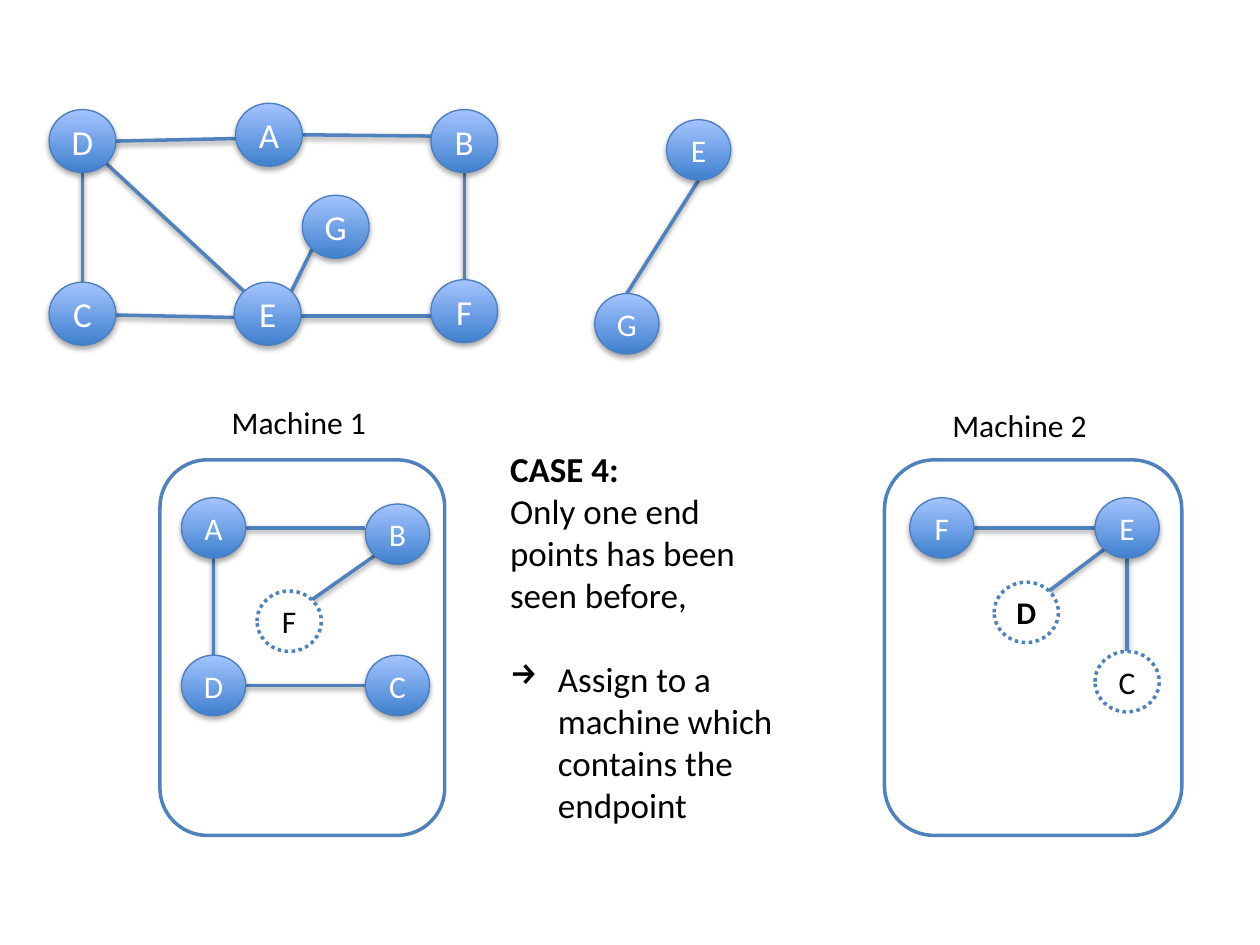
from lxml import etree
from pptx import Presentation
from pptx.dml.color import RGBColor
from pptx.enum.dml import MSO_LINE
from pptx.enum.shapes import MSO_CONNECTOR, MSO_SHAPE
from pptx.enum.text import MSO_ANCHOR, PP_ALIGN
from pptx.oxml.ns import qn
from pptx.util import Emu, Inches, Pt

STRAIGHT = MSO_CONNECTOR.STRAIGHT
OVAL, ROUNDED = MSO_SHAPE.OVAL, MSO_SHAPE.ROUNDED_RECTANGLE
CENTER, LEFT = PP_ALIGN.CENTER, PP_ALIGN.LEFT
MIDDLE = MSO_ANCHOR.MIDDLE
DOTTED = MSO_LINE.ROUND_DOT

FONT = "Calibri"
BLUE, RIM, WHITE, BLACK = "4F81BD", "4B7EBC", "FFFFFF", "000000"
GRADIENT = ("3F80CE", "A4C4FF")

# Machine name, name position, panel box
MACHINES = [
    ("Machine 1", (1.74, 3.15), (1.27, 3.65, 2.26, 2.98)),
    ("Machine 2", (7.46, 3.17), (7.02, 3.65, 2.36, 2.98)),
]

# Nodes: letter -> left, top. Copies are drawn dotted.
# Edges: start, its site, end, its site, vertical shift of both ends.
GRAPHS = [
    {   # whole graph
        "size": (0.53, 0.5), "points": 20, "copies": "", "bold": "",
        "nodes": {"A": (1.87, 0.82), "B": (3.42, 0.87), "C": (0.39, 2.24),
                  "D": (0.39, 0.87), "E": (1.86, 2.24), "F": (3.42, 2.22),
                  "G": (2.4, 1.55)},
        "edges": [("A", "right", "B", "left", 0, -0.04),
                  ("B", "bottom", "F", "top", 0, 0),
                  ("D", "right", "A", "left", 0, 0.03),
                  ("E", "right", "F", "left", 0.02, 0.04),
                  ("D", "bottom", "C", "top", 0, 0),
                  ("D", "bottom right", "E", "top left", 0, 0),
                  ("C", "right", "E", "left", 0.01, 0.03),
                  ("G", "bottom left", "E", "top right", 0, 0)],
    },
    {   # new edge
        "size": (0.51, 0.48), "points": 18, "copies": "", "bold": "",
        "nodes": {"E": (5.29, 0.95), "G": (4.72, 2.33)},
        "edges": [("E", "bottom", "G", "top", 0, 0)],
    },
    {   # machine 1
        "size": (0.51, 0.48), "points": 18, "copies": "F", "bold": "",
        "nodes": {"A": (1.44, 3.95), "B": (2.9, 4), "C": (2.9, 5.2),
                  "D": (1.44, 5.2), "F": (2.04, 4.69)},
        "edges": [("A", "right", "B", "left", 0, -0.05),
                  ("A", "bottom", "D", "top", 0, 0),
                  ("D", "right", "C", "left", 0, 0),
                  ("B", "bottom left", "F", "top right", 0, 0)],
    },
    {   # machine 2
        "size": (0.51, 0.48), "points": 18, "copies": "CD", "bold": "D",
        "nodes": {"C": (8.69, 5.17), "D": (7.89, 4.62), "E": (8.69, 3.95),
                  "F": (7.22, 3.95)},
        "edges": [("F", "right", "E", "left", 0, 0),
                  ("E", "bottom left", "D", "top right", 0, 0),
                  ("E", "bottom", "C", "top", 0, 0)],
    },
]

CASE_BOX = (3.95, 3.5, 2.4, 3.13)
CASE_TITLE = "CASE 4:"
CASE_CONDITION = "Only one end points has been seen before,"
CASE_ACTION = "Assign to a machine which contains the endpoint"


def rgb(code):
    return RGBColor.from_string(code)


def inches(values):
    return [Inches(value) for value in values]


def write(paragraph, text, size=18, color=BLACK, bold=False, align=LEFT):
    run = paragraph.add_run()
    run.text = text
    run.font.name, run.font.size, run.font.bold = FONT, Pt(size), bold
    run.font.color.rgb = rgb(color)
    paragraph.alignment = align


def outline(part, color, width):
    part.line.color.rgb = rgb(color)
    part.line.width = Pt(width)


def cast_shadow(part, distance, opacity):
    """Add a soft downward shadow; call it after fill and line are set."""
    effects = etree.SubElement(part._element.spPr, qn("a:effectLst"))
    shadow = etree.SubElement(effects, qn("a:outerShdw"), blurRad="40000",
                              dist=str(distance), dir="5400000", rotWithShape="0")
    black = etree.SubElement(shadow, qn("a:srgbClr"), val=BLACK)
    etree.SubElement(black, qn("a:alpha"), val=str(opacity * 1000))


def site(corner, size, name):
    """Point on a node's rim, such as 'left' or 'bottom right'."""
    words = name.split()
    reach = 0.5 if len(words) == 1 else 0.5 * 0.5 ** 0.5
    across = ("right" in words) - ("left" in words)
    down = ("bottom" in words) - ("top" in words)
    return (corner[0] + size[0] * (0.5 + reach * across),
            corner[1] + size[1] * (0.5 + reach * down))


def add_edge(shapes, graph, start, start_site, end, end_site, start_shift, end_shift):
    x1, y1 = site(graph["nodes"][start], graph["size"], start_site)
    x2, y2 = site(graph["nodes"][end], graph["size"], end_site)
    edge = shapes.add_connector(
        STRAIGHT, *inches((x1, y1 + start_shift, x2, y2 + end_shift)))
    outline(edge, BLUE, 2)
    cast_shadow(edge, 20000, 38)


def add_node(shapes, graph, letter):
    node = shapes.add_shape(OVAL, *inches(graph["nodes"][letter] + graph["size"]))
    copied = letter in graph["copies"]
    if copied:
        node.fill.solid()
        node.fill.fore_color.rgb = rgb(WHITE)
        outline(node, BLUE, 2)
        node.line.dash_style = DOTTED
        node.shadow.inherit = False
    else:
        node.fill.gradient()
        node.fill.gradient_angle = 90
        for stop, color in zip(node.fill.gradient_stops, GRADIENT):
            stop.color.rgb = rgb(color)
        outline(node, RIM, 0.75)
        cast_shadow(node, 23000, 35)
    frame = node.text_frame
    frame.word_wrap = False
    frame.vertical_anchor = MIDDLE
    write(frame.paragraphs[0], letter, size=graph["points"], align=CENTER,
          color=BLACK if copied else WHITE, bold=letter in graph["bold"])


def add_text_frame(shapes, box):
    frame = shapes.add_textbox(*inches(box)).text_frame
    frame.word_wrap = True
    return frame


def add_machine(shapes, name, name_corner, box):
    panel = shapes.add_shape(ROUNDED, *inches(box))
    panel.fill.solid()
    panel.fill.fore_color.rgb = rgb(WHITE)
    outline(panel, BLUE, 2)
    panel.shadow.inherit = False
    write(add_text_frame(shapes, name_corner + (1.5, 0.4)).paragraphs[0], name)


def add_case(shapes):
    frame = add_text_frame(shapes, CASE_BOX)
    write(frame.paragraphs[0], CASE_TITLE, size=20, bold=True)
    write(frame.add_paragraph(), CASE_CONDITION, size=20)
    action = frame.add_paragraph()
    write(action, CASE_ACTION, size=20)
    action.space_before = Pt(24)
    indent = Emu(Inches(0.38))
    properties = action._p.get_or_add_pPr()
    properties.set("marL", str(indent))
    properties.set("indent", str(-indent))
    etree.SubElement(properties, qn("a:buChar"), char="→")


def main():
    deck = Presentation()
    deck.slide_width, deck.slide_height = inches((10, 7.5))
    shapes = deck.slides.add_slide(deck.slide_layouts[6]).shapes
    for machine in MACHINES:
        add_machine(shapes, *machine)
    for graph in GRAPHS:
        for edge in graph["edges"]:
            add_edge(shapes, graph, *edge)
        for letter in graph["nodes"]:
            add_node(shapes, graph, letter)
    add_case(shapes)
    deck.save("out.pptx")


if __name__ == "__main__":
    main()
